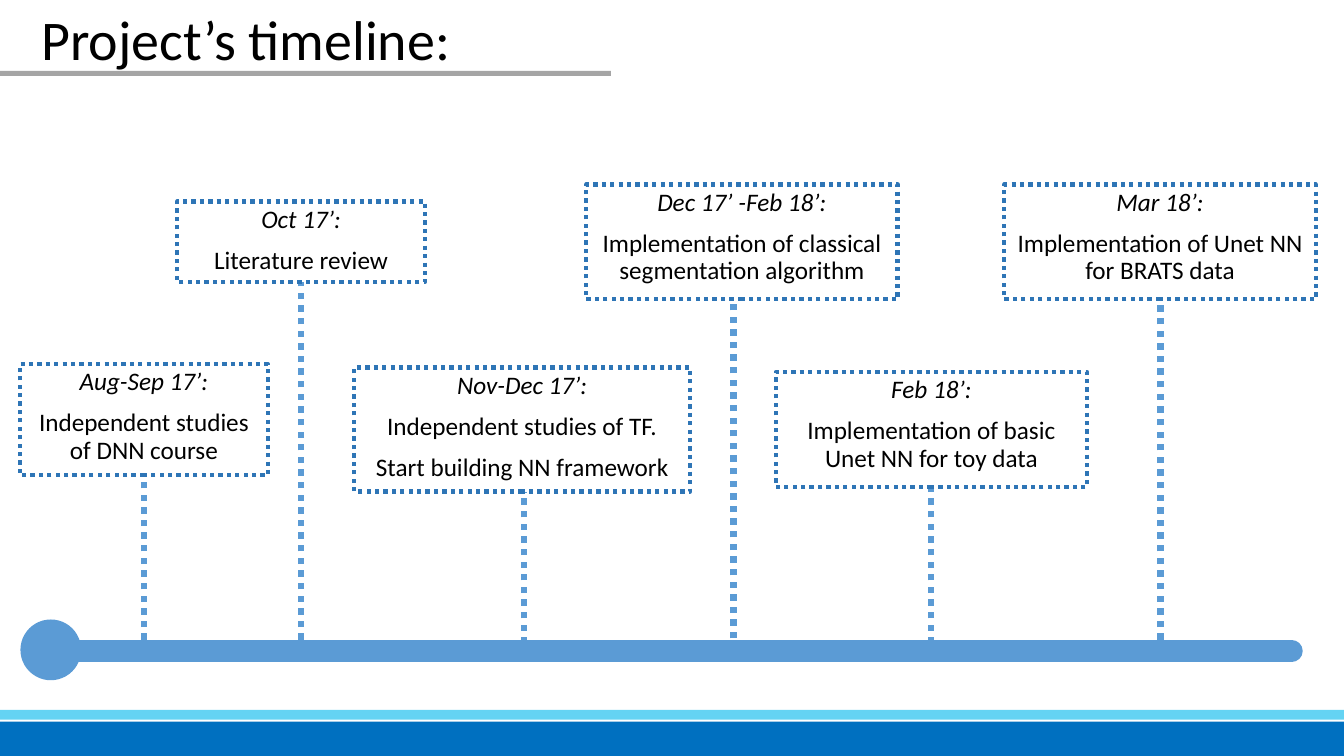
from pptx import Presentation
from pptx.dml.color import RGBColor
from pptx.enum.dml import MSO_LINE
from pptx.enum.shapes import MSO_CONNECTOR, MSO_SHAPE
from pptx.enum.text import MSO_ANCHOR, MSO_AUTO_SIZE, PP_ALIGN
from pptx.oxml.xmlchemy import OxmlElement
from pptx.util import Pt

COLORS = {
    "text": "000000",
    "band": "0070C0",
    "stripe": "64D3F3",
    "rule": "A5A5A5",
    "axis": "5B9BD5",
    "border": "2E75B6",
}
FONT = "Calibri"
SLIDE_W, SLIDE_H = 960.48, 540
AXIS_Y = 465

# Box (left, top, width, height), stem (x, foot), date, tasks
MILESTONES = [
    ((14.4, 260, 177, 79.5), (103, 457), "Aug-Sep 17’:",
     ["Independent studies of DNN course"]),
    ((126.7, 144, 177, 57.6), (215.3, 457), "Oct 17’:",
     ["Literature review"]),
    ((419, 131.8, 222.5, 82), (524.2, 465), "Dec 17’ -Feb 18’:",
     ["Implementation of classical segmentation algorithm"]),
    ((253.2, 262.6, 240, 88.5), (374.4, 468.7), "Nov-Dec 17’:",
     ["Independent studies of TF.", "Start building NN framework"]),
    ((554.4, 265.7, 222.5, 82), (665.3, 468.7), "Feb 18’:",
     ["Implementation of basic Unet NN for toy data"]),
    ((717.8, 131.8, 222.5, 82), (829.4, 457), "Mar 18’:",
     ["Implementation of Unet NN for BRATS data"]),
]


def rgb(name):
    return RGBColor.from_string(COLORS[name])


def set_font(p, size, italic=False):
    p.line_spacing = 0.9
    p.font.name = FONT
    p.font.size = Pt(size)
    p.font.italic = italic
    p.font.color.rgb = rgb("text")


def add_solid(s, kind, left, top, width, height, color):
    sp = s.shapes.add_shape(kind, Pt(left), Pt(top), Pt(width), Pt(height))
    sp.shadow.inherit = False
    sp.fill.solid()
    sp.fill.fore_color.rgb = rgb(color)
    sp.line.fill.background()


def add_line(s, x1, y1, x2, y2, width):
    line = s.shapes.add_connector(MSO_CONNECTOR.STRAIGHT, Pt(x1), Pt(y1), Pt(x2), Pt(y2))
    line.line.color.rgb = rgb("axis")
    line.line.width = Pt(width)
    line._element.spPr.append(OxmlElement("a:effectLst"))
    return line


def add_title(s, text):
    title = s.shapes.title
    title.left, title.top, title.width, title.height = Pt(22.3), Pt(8), Pt(828), Pt(44.6)
    tf = title.text_frame
    tf.text = text
    tf.auto_size = MSO_AUTO_SIZE.NONE
    tf.vertical_anchor = MSO_ANCHOR.MIDDLE
    p = tf.paragraphs[0]
    p.alignment = PP_ALIGN.LEFT
    set_font(p, 40)


def add_milestone(s, box, stem, date, tasks):
    left, top, width, height = box
    x, foot = stem
    add_line(s, x, foot, x, top + height, 4.5).line.dash_style = MSO_LINE.ROUND_DOT

    sp = s.shapes.add_shape(MSO_SHAPE.RECTANGLE, Pt(left), Pt(top), Pt(width), Pt(height))
    sp.shadow.inherit = False
    sp.fill.background()
    sp.line.color.rgb = rgb("border")
    sp.line.width = Pt(3)
    sp.line.dash_style = MSO_LINE.ROUND_DOT

    tf = sp.text_frame
    tf.word_wrap = True
    tf.vertical_anchor = MSO_ANCHOR.TOP
    for i, text in enumerate([date, *tasks]):
        p = tf.add_paragraph() if i else tf.paragraphs[0]
        p.text = text
        p.alignment = PP_ALIGN.CENTER
        p.space_before = Pt(10 if i else 0)
        set_font(p, 18, italic=i == 0)


def main():
    prs = Presentation()
    prs.slide_width, prs.slide_height = Pt(SLIDE_W), Pt(SLIDE_H)
    s = prs.slides.add_slide(prs.slide_layouts[5])

    # Title and its rule
    add_title(s, "Project’s timeline:")
    add_solid(s, MSO_SHAPE.RECTANGLE, 0, 50.6, 436.5, 3.6, "rule")

    # Footer bands
    add_solid(s, MSO_SHAPE.RECTANGLE, 0, 515.5, SLIDE_W, 24.5, "band")
    add_solid(s, MSO_SHAPE.RECTANGLE, 0, 507, SLIDE_W, 7, "stripe")

    # Time axis with a round end
    add_solid(s, MSO_SHAPE.OVAL, 14.6, 442.5, 43.4, 43.4, "axis")
    axis = add_line(s, 42, AXIS_Y, 923, AXIS_Y, 16)
    axis.line._get_or_add_ln().set("cap", "rnd")

    # Milestones
    for milestone in MILESTONES:
        add_milestone(s, *milestone)

    prs.save("out.pptx")


if __name__ == "__main__":
    main()
